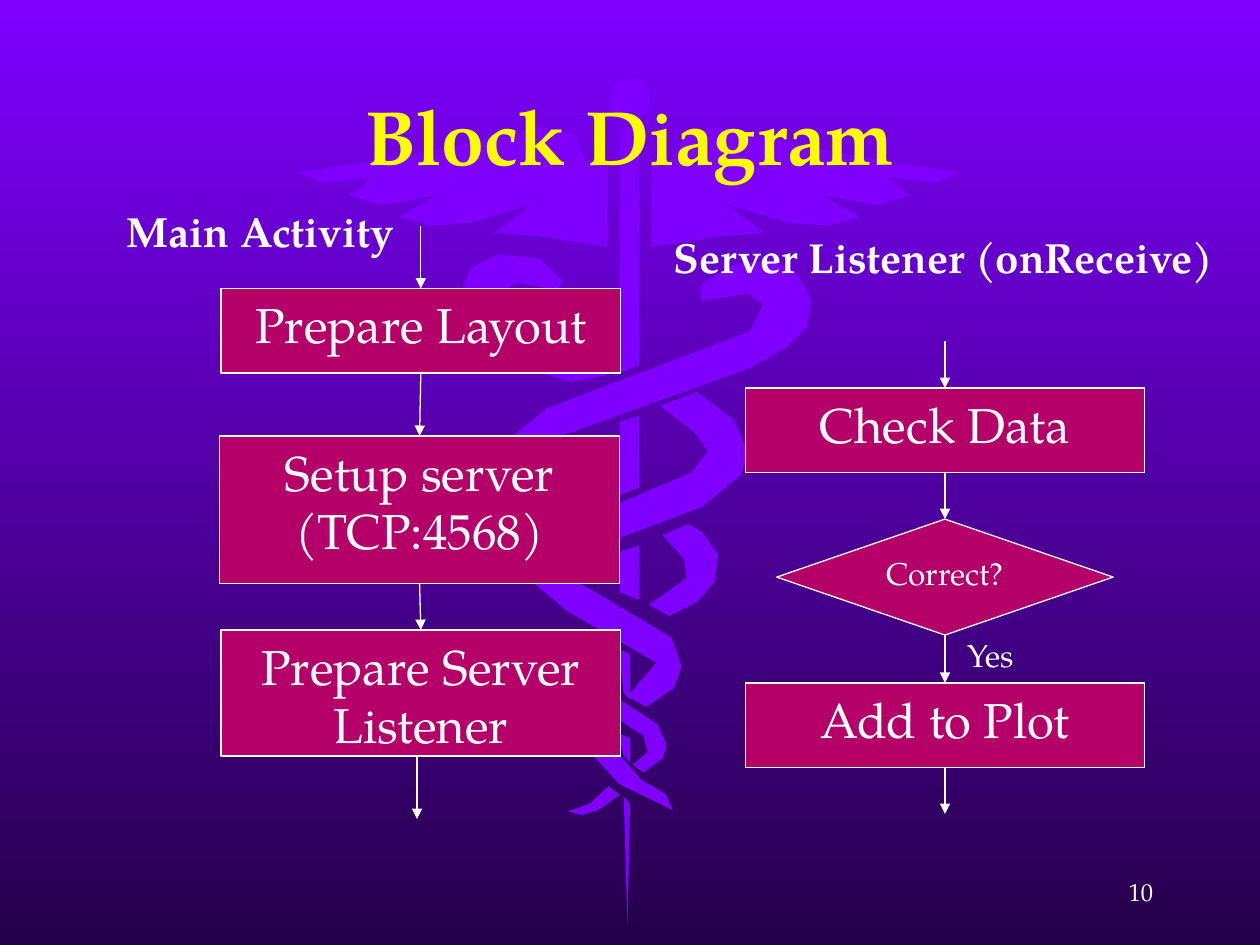
from lxml import etree
from pptx import Presentation
from pptx.dml.color import RGBColor
from pptx.enum import shapes, text
from pptx.oxml import ns
from pptx.util import Inches, Pt

HUES = {"top": "7F00FF", "base": "25004A", "staff": "7F00FF",
        "title": "FAFD00", "box": "B50069", "white": "FFFFFF"}
FONT = "TeX Gyre Pagella"
RGB = {name: RGBColor.from_string(code) for name, code in HUES.items()}
LEFT, MID, RIGHT = text.PP_ALIGN.LEFT, text.PP_ALIGN.CENTER, text.PP_ALIGN.RIGHT
TOP, HALF = text.MSO_ANCHOR.TOP, text.MSO_ANCHOR.MIDDLE

deck = Presentation()
deck.slide_width, deck.slide_height = Inches(10), Inches(7.5)
slide = deck.slides.add_slide(deck.slide_layouts[6])
parts = slide.shapes

back = slide.background.fill
back.gradient()
back.gradient_angle = 270
for stop, hue in zip(back.gradient_stops, ("top", "base")):
    stop.color.rgb = RGB[hue]


def write(shape, words, size, align=MID, anchor=TOP, wrap=True, bold=False, hue="white"):
    frame = shape.text_frame
    look = {"word_wrap": wrap, "vertical_anchor": anchor,
            "margin_left": Inches(0.1), "margin_right": Inches(0.1),
            "margin_top": Inches(0.05), "margin_bottom": Inches(0.05)}
    for key, value in look.items():
        setattr(frame, key, value)
    para = frame.paragraphs[0]
    para.alignment = align
    run = para.add_run()
    run.text = words
    for key, value in {"name": FONT, "size": Pt(size), "bold": bold}.items():
        setattr(run.font, key, value)
    run.font.color.rgb = RGB[hue]


def paint(shape, fill, line=None):
    shape.shadow.inherit = False
    shape.fill.solid()
    shape.fill.fore_color.rgb = RGB[fill]
    if line:
        shape.line.color.rgb = RGB[line]
        shape.line.width = Pt(0.75)
    else:
        shape.line.fill.background()


# Winged staff behind the diagram: rods by left top, right top, right base, left base
cuts = [(1.02, 1.02, 2.9, 2.96), (3.35, 3.3, 3.87, 3.93), (4.38, 4.33, 4.76, 4.7)]
rods = [list(zip((4.92, 5.07, 5.07, 4.92), cut)) for cut in cuts]
rods += [[(4.91, top), (5, top + 0.04), (5, low), (4.95, low - 0.05)]
         for top, low in ((5.15, 5.55), (5.82, 6.05))]
rods.append([(4.95, 6.32), (5, 6.38), (4.98, 7.34)])
snakes = [
    [(4.51, 6.44), (4.68, 6.38), (4.83, 6.24), (4.92, 6.31), (4.75, 6.43), (4.62, 6.47)],
    [(5.11, 6.13), (5.26, 6.02), (5.29, 5.91), (5.22, 5.75), (4.72, 5.42), (4.66, 5.3),
     (4.87, 5.1), (4.7, 5.01), (4.53, 5.14), (4.48, 5.34), (4.62, 5.53), (5.11, 5.84),
     (5.14, 5.97), (5.02, 6.07)],
    [(5.31, 4.89), (5.53, 4.78), (5.67, 4.62), (5.7, 4.4), (5.57, 4.22), (5.46, 4.16),
     (5.26, 4.25), (5.43, 4.44), (5.45, 4.59), (5.15, 4.8)],
    [(4.82, 3.95), (4.53, 3.86), (4.37, 3.65), (4.48, 3.45), (5.93, 2.93), (6.24, 2.76),
     (6.4, 2.6), (6.44, 2.39), (6.32, 2.16), (6.11, 2.07), (5.84, 2.1), (5.57, 2.25),
     (5.56, 2.39), (5.94, 2.33), (6.06, 2.42), (5.95, 2.63), (4.34, 3.24), (4.06, 3.47),
     (4.02, 3.72), (4.23, 3.97), (4.48, 4.07)],
    [(5.34, 6.43), (4.91, 6.22), (4.72, 6.01), (4.78, 5.69), (4.91, 5.78), (4.87, 5.94),
     (5.09, 6.19), (5.28, 6.3)],
    [(5.13, 5.61), (5.35, 5.46), (5.41, 5.29), (5.33, 5.06), (4.57, 4.61), (4.5, 4.5),
     (4.6, 4.39), (5.58, 4.02), (5.88, 3.77), (5.94, 3.59), (5.82, 3.33), (5.53, 3.11),
     (5.24, 3.22), (5.51, 3.43), (5.62, 3.58), (5.49, 3.75), (4.5, 4.17), (4.24, 4.42),
     (4.24, 4.63), (4.5, 4.85), (5.21, 5.26), (4.98, 5.53)],
    [(4.81, 2.98), (4.81, 2.8), (4.28, 2.71), (4.03, 2.56), (3.96, 2.35), (4.09, 2.24),
     (4.42, 2.3), (4.47, 2.23), (4.28, 2.05), (3.95, 2.02), (3.73, 2.13), (3.65, 2.35),
     (3.79, 2.67), (4.11, 2.91), (4.54, 3.03)],
]
wing = [(4.82, 1.96), (4.31, 1.88), (3.92, 1.85), (4.23, 1.62), (3.73, 1.77), (3.41, 1.79),
        (3.17, 1.72), (3.47, 1.55), (3.03, 1.63), (2.77, 1.55), (2.96, 1.41), (2.56, 1.45),
        (2.37, 1.37), (3.31, 1.22), (4.28, 1.01), (4.55, 1.06), (4.65, 1.27), (4.82, 1.26)]
twin = [(9.99 - x, y) for x, y in wing]
for points in rods + snakes + [wing, twin]:
    dots = [(Inches(x), Inches(y)) for x, y in points]
    pen = parts.build_freeform(*dots[0])
    pen.add_line_segments(dots[1:], close=True)
    paint(pen.convert_to_shape(), "staff")
knob = parts.add_shape(shapes.MSO_SHAPE.OVAL, Inches(4.84), Inches(0.62), Inches(0.32), Inches(0.34))
paint(knob, "staff")

# Free text: place, words, size and format
labels = [
    ((0.75, 0.44, 8.5, 1.25), "Block Diagram", 44, {"anchor": HALF, "bold": True, "hue": "title"}),
    ((7.17, 6.83, 2.08, 0.5), "10", 14, {"align": RIGHT, "anchor": HALF}),
    ((0.91, 1.58, 2.34, 0.5), "Main Activity", 24, {"align": LEFT, "wrap": False, "bold": True}),
    ((5.25, 1.79, 4.5, 0.5), "Server Listener (onReceive)", 24, {"align": LEFT, "bold": True}),
    ((7.58, 5, 0.6, 0.4), "Yes", 18, {"align": LEFT, "wrap": False}),
]
for place, words, size, form in labels:
    write(parts.add_textbox(*map(Inches, place)), words, size, **form)

# Flow steps: kind, centre x, top, width, height, words, size
RECT, GATE = shapes.MSO_SHAPE.RECTANGLE, shapes.MSO_SHAPE.FLOWCHART_DECISION
steps = {
    "layout": (RECT, 3.34, 2.29, 3.17, 0.67, "Prepare Layout", 28),
    "setup": (RECT, 3.33, 3.46, 3.17, 1.17, "Setup server (TCP:4568)", 28),
    "listen": (RECT, 3.34, 5, 3.17, 1, "Prepare Server Listener", 28),
    "check": (RECT, 7.5, 3.08, 3.17, 0.67, "Check Data", 28),
    "gate": (GATE, 7.5, 4.12, 2.67, 0.92, "Correct?", 18),
    "plot": (RECT, 7.5, 5.42, 3.17, 0.67, "Add to Plot", 28),
}
nodes = {}
for name, (kind, mid, top, wide, high, words, size) in steps.items():
    node = parts.add_shape(kind, Inches(mid - wide / 2), Inches(top), Inches(wide), Inches(high))
    paint(node, "box", "white")
    write(node, words, size)
    nodes[name] = node

# Arrows: each end is a step name or a loose point
arrows = [((3.34, 1.79), "layout"), ("layout", "setup"), ("setup", "listen"),
          ((3.31, 6), (3.31, 6.5)), ((7.5, 2.71), "check"), ("check", "gate"),
          ("gate", "plot"), ("plot", (7.5, 6.46))]
for start, end in arrows:
    ends = [(0, 0) if isinstance(spot, str) else spot for spot in (start, end)]
    arrow = parts.add_connector(shapes.MSO_CONNECTOR.STRAIGHT, *[Inches(v) for spot in ends for v in spot])
    if start in nodes:
        arrow.begin_connect(nodes[start], 2)
    if end in nodes:
        arrow.end_connect(nodes[end], 0)
    arrow.line.color.rgb = RGB["white"]
    arrow.line.width = Pt(0.75)
    props = arrow.line.fill._xPr
    etree.SubElement(props, ns.qn("a:tailEnd"), type="triangle")
    etree.SubElement(props.getparent(), ns.qn("a:effectLst"))

deck.save("out.pptx")
